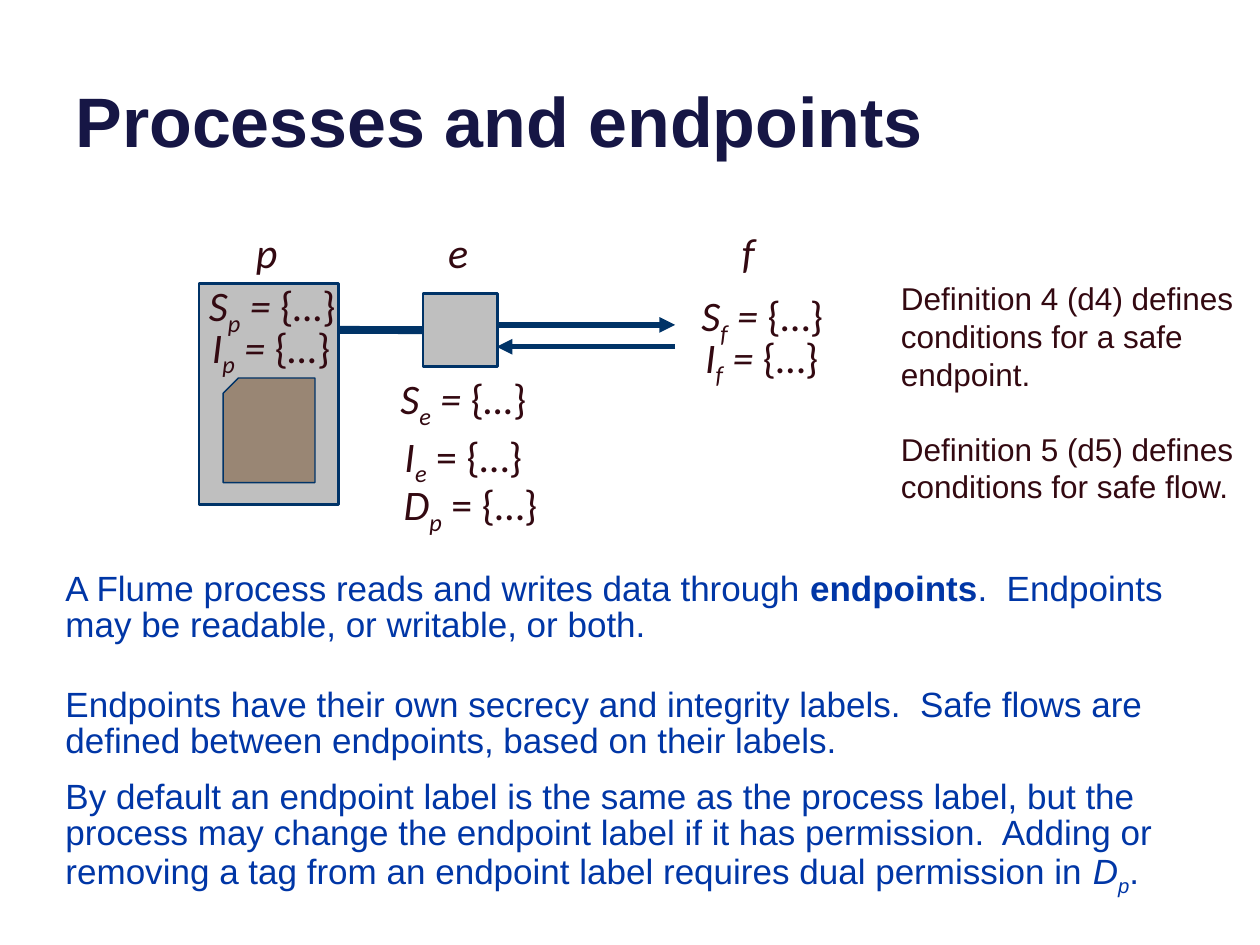
from pptx import Presentation
from pptx.dml.color import RGBColor
from pptx.enum.shapes import MSO_CONNECTOR as Connector, MSO_SHAPE as Shape
from pptx.enum.text import MSO_ANCHOR as Anchor, MSO_AUTO_SIZE as AutoSize, PP_ALIGN as Align
from pptx.oxml.ns import qn
from pptx.util import Cm, Pt
from lxml.etree import SubElement

NAVY = "003367"
BLUE = "0036A6"
MAROON = "330911"
GREY = "BFBFBF"

MIXED_SET = [(" = ", "i"), ("{", ""), ("…", "i"), ("}", "")]
ITALIC_EQUALS_SET = [(" = ", "i"), ("{…}", "")]
UPRIGHT_SET = [(" = {…}", "")]


def colour(value):
    return RGBColor.from_string(value)


def box(values):
    return [Cm(value) for value in values]


def format_font(font, name, size, value):
    font.name = name
    font.size = Pt(size)
    font.color.rgb = colour(value)


def add_runs(paragraph, segments, name, size, value):
    for text, style in segments:
        run = paragraph.add_run()
        run.text = text
        format_font(run.font, name, size, value)
        run.font.bold = "b" in style
        run.font.italic = "i" in style
        if "s" in style:
            run.font._element.set("baseline", "-25000")


def add_text(slide, position, paragraphs, name, size, value, wrap=True):
    text_frame = slide.shapes.add_textbox(*box(position)).text_frame
    text_frame.word_wrap = wrap
    text_frame.auto_size = AutoSize.SHAPE_TO_FIT_TEXT
    for index, segments in enumerate(paragraphs):
        paragraph = text_frame.add_paragraph() if index else text_frame.paragraphs[0]
        add_runs(paragraph, segments, name, size, value)
    return text_frame.paragraphs


def add_label(slide, left, top, width, *lines):
    position = (left, top, width, 1.27 if len(lines) == 1 else 2.31)
    for paragraph in add_text(slide, position, lines, "Calibri", 24, MAROON, wrap=False):
        paragraph.alignment = Align.CENTER


def label_set(letter, subscript, ending):
    return [(letter, "i"), (subscript, "is")] + ending


def add_statement(slide, top, height, segments):
    paragraphs = add_text(slide, (1.07, top, 23.06, height), [segments], "Arial", 20, BLUE)
    paragraphs[0].line_spacing = 0.85


def add_block(slide, kind, position, fill, line_width):
    shape = slide.shapes.add_shape(kind, *box(position))
    shape.shadow.inherit = False
    shape.fill.solid()
    shape.fill.fore_color.rgb = colour(fill)
    shape.line.color.rgb = colour(NAVY)
    shape.line.width = Pt(line_width)
    return shape


def add_line(slide, start, end, width, arrow=False):
    connector = slide.shapes.add_connector(Connector.STRAIGHT, *box(start + end))
    connector.line.color.rgb = colour(NAVY)
    connector.line.width = Pt(width)
    SubElement(connector._element.spPr, qn("a:effectLst"))
    if arrow:
        SubElement(connector.line._get_or_add_ln(), qn("a:tailEnd"), type="triangle")
    return connector


def add_title(slide, text):
    title = slide.shapes.title
    title.left, title.top, title.width, title.height = box((1.27, -0.94, 22.86, 4.32))
    text_frame = title.text_frame
    text_frame.text = text
    text_frame.vertical_anchor = Anchor.BOTTOM
    paragraph = text_frame.paragraphs[0]
    paragraph.alignment = Align.LEFT
    font = paragraph.runs[0].font
    format_font(font, "Arial", 40, "161645")
    font.bold = True


def add_diagram(slide):
    add_block(slide, Shape.RECTANGLE, (4.01, 5.72, 2.82, 4.45), GREY, 1.5)
    document = add_block(slide, Shape.SNIP_1_RECTANGLE, (4.5, 7.62, 1.85, 2.11), "998674", 0.75)
    document._element.spPr.xfrm.set("flipH", "1")
    endpoint = add_block(slide, Shape.RECTANGLE, (8.53, 5.92, 1.5, 1.47), GREY, 1.5)
    link = add_line(slide, (8.53, 6.65), (6.83, 6.65), 4.5)
    link.begin_connect(endpoint, 1)
    add_line(slide, (10.01, 6.55), (13.61, 6.55), 3, arrow=True)
    add_line(slide, (13.61, 6.99), (10.01, 6.99), 3, arrow=True)

    for name, left in (("p", 4.88), ("e", 8.74), ("f", 14.59)):
        add_label(slide, left, 4.45, 0.99, [(name, "i")])
    add_label(slide, 3.84, 5.51, 3.3, label_set("S", "p", MIXED_SET))
    add_label(slide, 3.94, 6.35, 3.05, label_set("I", "p", MIXED_SET))
    add_label(slide, 7.75, 7.39, 3.18,
              label_set("S", "e", MIXED_SET), label_set("I", "e", UPRIGHT_SET))
    add_label(slide, 7.77, 9.53, 3.43, label_set("D", "p", UPRIGHT_SET))
    add_label(slide, 13.79, 5.72, 3.15, label_set("S", "f", ITALIC_EQUALS_SET))
    add_label(slide, 13.87, 6.55, 2.97, label_set("I", "f", ITALIC_EQUALS_SET))


def add_definitions(slide):
    definitions = [
        [("Definition 4 (d4) defines conditions for a safe endpoint.", "")],
        [("Definition 5 (d5) defines conditions for safe flow.", "")],
    ]
    paragraphs = add_text(slide, (17.91, 5.51, 7.26, 4.88), definitions, "Arial", 18, MAROON)
    paragraphs[1].space_before = Pt(21)


def main():
    presentation = Presentation()
    presentation.slide_width = Cm(25.4)
    presentation.slide_height = Cm(19.05)
    slide = presentation.slides.add_slide(presentation.slide_layouts[5])

    add_title(slide, "Processes and endpoints")
    add_diagram(slide)
    add_definitions(slide)
    add_statement(slide, 11.43, 1.73, [
        ("A Flume process reads and writes data through ", ""),
        ("endpoints", "b"),
        (".  Endpoints may be readable, or writable, or both.", ""),
    ])
    add_statement(slide, 13.77, 1.73, [
        ("Endpoints have their own secrecy and integrity labels.  Safe flows are "
         "defined between endpoints, based on their labels.", ""),
    ])
    add_statement(slide, 15.62, 2.46, [
        ("By default an endpoint label is the same as the process label, but the "
         "process may change the endpoint label if it has permission.  Adding or "
         "removing a tag from an endpoint label requires dual permission in ", ""),
        ("D", "i"),
        ("p", "is"),
        (".", ""),
    ])
    presentation.save("out.pptx")


if __name__ == "__main__":
    main()
